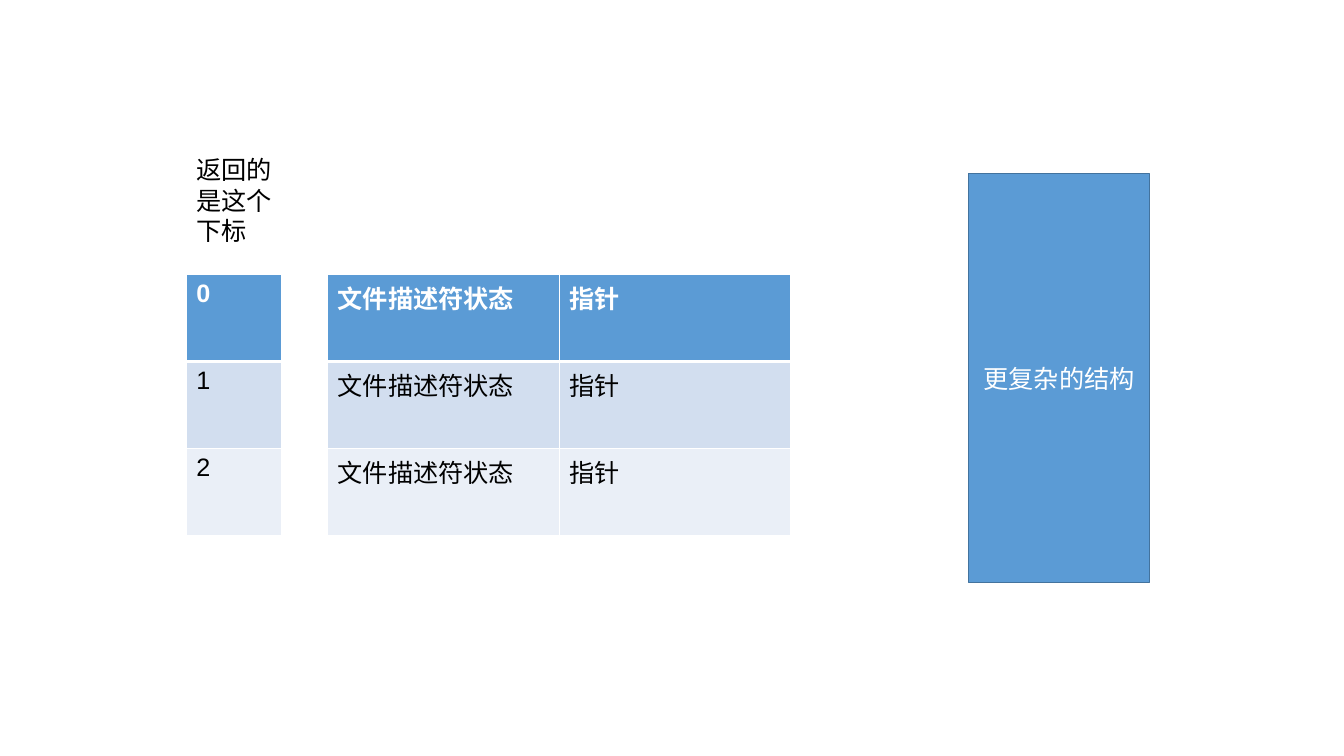
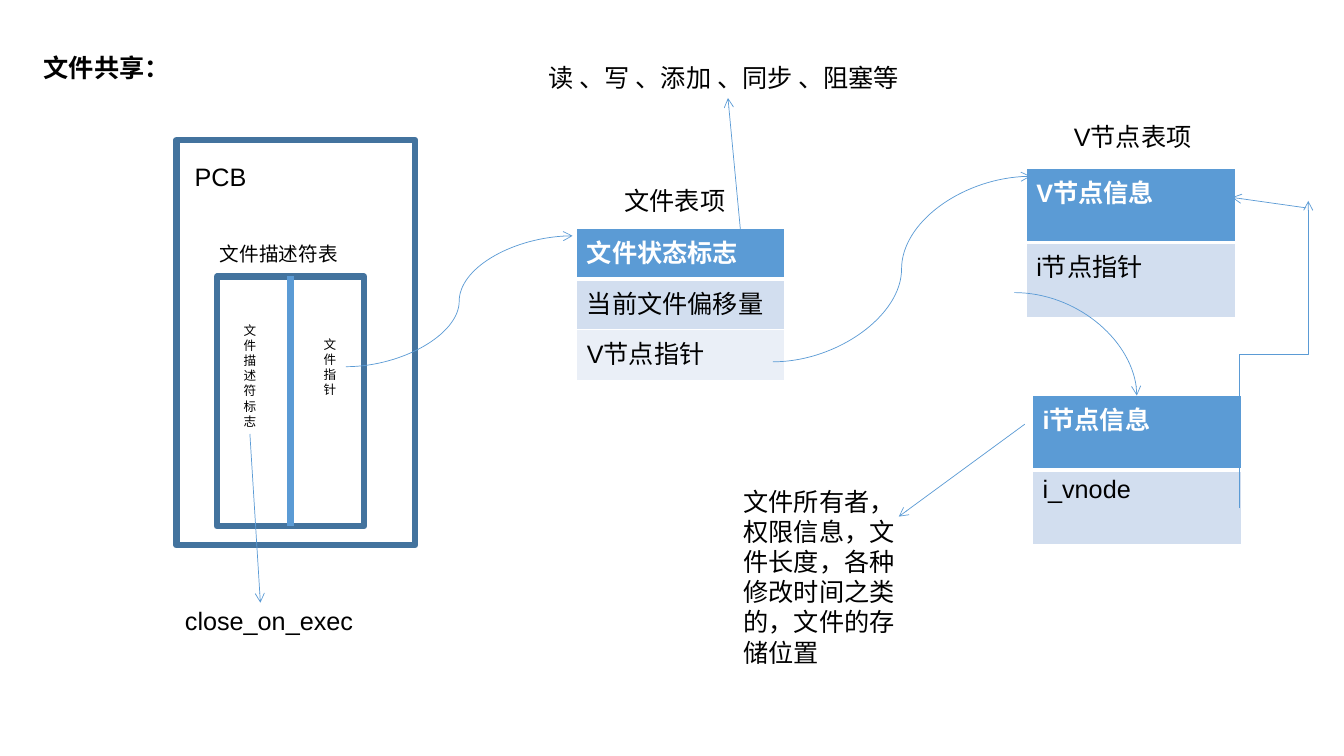
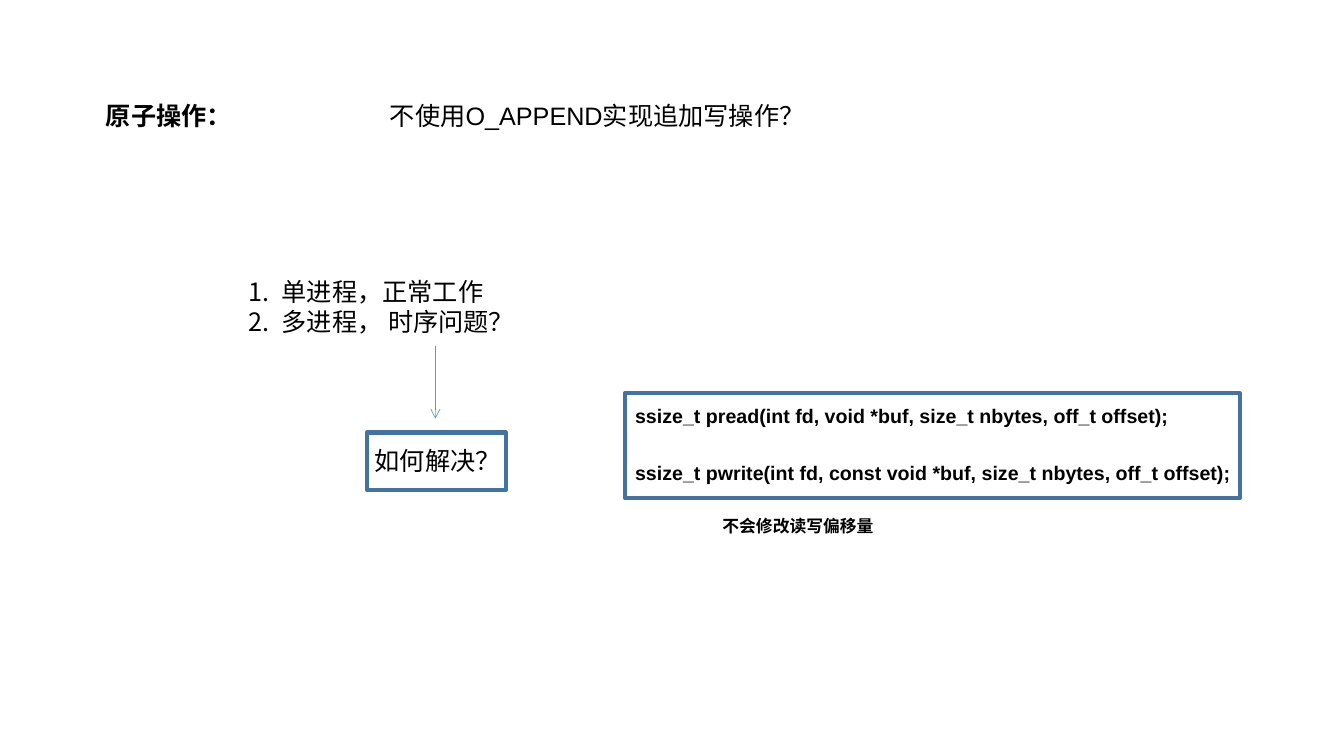
from lxml.etree import SubElement
from pptx import Presentation
from pptx.dml.color import RGBColor
from pptx.enum.shapes import MSO_CONNECTOR as LINK, MSO_SHAPE as SHAPE
from pptx.enum.text import MSO_ANCHOR as ANCHOR, MSO_AUTO_SIZE as FIT, PP_ALIGN as ALIGN
from pptx.oxml.ns import qn
from pptx.util import Pt

WHITE = RGBColor(0xFF, 0xFF, 0xFF)
BLACK = RGBColor(0, 0, 0)
BLUE = RGBColor(0x5B, 0x9B, 0xD5)
DARK_BLUE = RGBColor(0x43, 0x73, 0x9E)
BANDS = [RGBColor(0xD2, 0xDE, 0xEF), RGBColor(0xEA, 0xEF, 0xF7)]
FONT = "Arial"

# Content; boxes are (left, top, width, height) in points
# Slide 1: descriptor table
ENTRIES = [["文件描述符状态", "指针"]] * 3
INDEXES = [["0"], ["1"], ["2"]]
INDEX_NOTE = ("返回的是这个下标", (133, 107, 71.5, 73))
STRUCTURE = ("更复杂的结构", (692, 124, 129, 292))

# Slide 2: file sharing
SHARING_TITLE = ("文件共享：", (24, 34, 174, 29))
PROCESS_BOX = (126, 100, 170.5, 289.5)
DESCRIPTOR_BOX = (155, 197.5, 105, 178.5)
SHARING_LABELS = [
    ("PCB", (132, 112, 55, 51), 18),
    ("文件描述符表", (150, 169, 124.5, 24.5), 14),
    ("文件描述符标志", (167, 227, 23, 83.5), 9),
    ("文件指针", (224, 237, 23, 51), 9),
    ("文件表项", (439, 129, 93, 29), 18),
    ("close_on_exec", (125, 429, 240, 29), 18),
    ("读 、写 、添加 、同步 、阻塞等", (385, 41, 268.5, 29), 18),
    ("V节点表项", (760, 83, 159, 29), 18),
    ("文件所有者，权限信息，文件长度，各种修改时间之类的，文件的存储位置",
     (524, 343.5, 127.5, 138), 18),
]
SHARING_TABLES = [  # rows, left, top, column width, row height
    ([["文件状态标志"], ["当前文件偏移量"], ["V节点指针"]], 412, 163, 148.5, 36.2),
    ([["V节点信息"], ["i节点指针"]], 733, 120, 149.5, 53.3),
    ([["i节点信息"], ["i_vnode"]], 737.5, 282.5, 149.5, 53.3),
]
SHARING_ARROWS = [  # kind, start, end
    ("curve", (247, 262), (409, 168.5)),
    ("straight", (178.5, 310), (186, 430.5)),
    ("straight", (530, 176), (520, 70)),
    ("curve", (552, 258.5), (736, 126)),
    ("quarter", (724.5, 209), (812, 282.5)),
    ("rising bend", (885, 363), (934.5, 143.5)),
    ("straight", (933, 148.5), (880, 141)),
    ("straight", (732, 303), (642, 369)),
]

# Slide 3: atomic operations
ATOMIC_TITLE = ("原子操作：", (68.5, 68, 174, 29))
QUESTION = ("不使用O_APPEND实现追加写操作？", (271.5, 68, 488, 116))
CASES = (["单进程，正常工作", "多进程， 时序问题？"], (170, 193.5, 224, 73))
SOLUTION = ("如何解决？", (260.5, 314.5, 334, 29))
SOLUTION_FRAME = (262, 309, 99.5, 41)
CALLS = ["ssize_t pread(int fd, void *buf, size_t nbytes, off_t offset);",
         "ssize_t pwrite(int fd, const void *buf, size_t nbytes, off_t offset);"]
CALLS_FRAME = (446.5, 281, 439, 75)
CALL_TOP, CALL_STEP = 285, 40.5
OFFSET_NOTE = ("不会修改读写偏移量", (509, 365, 377, 21.5))


def points(*values):
    return [Pt(value) for value in values]


def write(frame, text, size=18, color=BLACK, bold=False, align=ALIGN.LEFT, anchor=ANCHOR.TOP):
    """Fill a text frame or table cell; a list gives one paragraph per item."""
    frame.vertical_anchor = anchor
    body = getattr(frame, "text_frame", frame)
    body.word_wrap = True
    body.text = "\n".join(text) if isinstance(text, list) else text
    for paragraph in body.paragraphs:
        paragraph.alignment = align
        paragraph.space_before = Pt(0)
        for run in paragraph.runs:
            font = run.font
            font.name, font.size, font.bold = FONT, Pt(size), bold
            font.color.rgb = color


def label(slide, text, box, **style):
    write(slide.shapes.add_textbox(*points(*box)).text_frame, text, **style)


def fill_placeholder(holder, text, box, **style):
    holder.left, holder.top, holder.width, holder.height = points(*box)
    holder.text_frame.auto_size = FIT.NONE
    write(holder.text_frame, text, **style)


def rectangle(slide, box, weight, fill=None):
    rect = slide.shapes.add_shape(SHAPE.RECTANGLE, *points(*box))
    rect.shadow.inherit = False
    if fill is None:
        rect.fill.background()
    else:
        rect.fill.solid()
        rect.fill.fore_color.rgb = fill
    rect.line.color.rgb, rect.line.width = DARK_BLUE, Pt(weight)
    return rect


def cell_borders(cell, bottom):
    properties = cell._tc.get_or_add_tcPr()
    for place, (side, weight) in enumerate([("L", 1), ("R", 1), ("T", 1), ("B", bottom)]):
        border = properties.makeelement(qn("a:ln" + side), {"w": str(Pt(weight))})
        paint = SubElement(border, qn("a:solidFill"))
        SubElement(paint, qn("a:srgbClr"), val=str(WHITE))
        properties.insert(place, border)


def grid(slide, rows, left, top, column_width, row_height):
    columns = len(rows[0])
    table = slide.shapes.add_table(len(rows), columns, *points(
        left, top, column_width * columns, row_height * len(rows))).table
    for column in table.columns:
        column.width = Pt(column_width)
    for r, row in enumerate(rows):
        table.rows[r].height = Pt(row_height)
        header = r == 0
        for c, text in enumerate(row):
            cell = table.cell(r, c)
            cell.fill.solid()
            cell.fill.fore_color.rgb = BLUE if header else BANDS[(r - 1) % 2]
            write(cell, text, bold=header, color=WHITE if header else BLACK)
            cell_borders(cell, 3 if header else 1)


def link(slide, kind, start, end, weight=0.5, arrow=True):
    (x1, y1), (x2, y2) = start, end
    rising = kind == "rising bend"
    if rising:  # a quarter turn swaps width and height about the centre
        x, y = (x1 + x2) / 2, (y1 + y2) / 2
        across, up = (x2 - x1) / 2, (y1 - y2) / 2
        x1, y1, x2, y2 = x - up, y - across, x + up, y + across
    form = {"straight": LINK.STRAIGHT, "rising bend": LINK.ELBOW}.get(kind, LINK.CURVE)
    line = slide.shapes.add_connector(form, *points(x1, y1, x2, y2))
    line.line.color.rgb, line.line.width = BLUE, Pt(weight)
    properties = line._element.spPr
    if rising:
        properties.find(qn("a:xfrm")).set("rot", "16200000")
    if kind == "quarter":
        properties.find(qn("a:prstGeom")).set("prst", "curvedConnector2")
    if arrow:
        SubElement(properties.find(qn("a:ln")), qn("a:tailEnd"), type="arrow")
    SubElement(properties, qn("a:effectLst"))


deck = Presentation()
deck.slide_width, deck.slide_height = points(960, 540)
LIST_LAYOUT, TITLE_LAYOUT, BLANK_LAYOUT = [deck.slide_layouts[i] for i in (1, 5, 6)]

# Slide 1
table_slide = deck.slides.add_slide(BLANK_LAYOUT)
grid(table_slide, ENTRIES, 234, 196, 165.5, 62.2)
grid(table_slide, INDEXES, 133, 196, 68.5, 62.2)
label(table_slide, *INDEX_NOTE)
structure_text, structure_box = STRUCTURE
structure = rectangle(table_slide, structure_box, 1, fill=BLUE)
write(structure.text_frame, structure_text, color=WHITE, align=ALIGN.CENTER, anchor=ANCHOR.MIDDLE)

# Slide 2
sharing = deck.slides.add_slide(TITLE_LAYOUT)
fill_placeholder(sharing.shapes.title, *SHARING_TITLE, bold=True)
for box in (PROCESS_BOX, DESCRIPTOR_BOX):
    rectangle(sharing, box, 4.5, fill=WHITE)
left, top, width, height = DESCRIPTOR_BOX
middle = left + width / 2
link(sharing, "straight", (middle, top), (middle, top + height), weight=4.5, arrow=False)
for text, box, size in SHARING_LABELS:
    label(sharing, text, box, size=size)
for table in SHARING_TABLES:
    grid(sharing, *table)
for arrow in SHARING_ARROWS:
    link(sharing, *arrow)

# Slide 3
atomic = deck.slides.add_slide(LIST_LAYOUT)
fill_placeholder(atomic.shapes.title, *ATOMIC_TITLE, bold=True)
cases = atomic.placeholders[1]
fill_placeholder(cases, *CASES, align=ALIGN.JUSTIFY)
for paragraph in cases.text_frame.paragraphs:
    numbering = paragraph._p.get_or_add_pPr()
    numbering.set("marL", str(Pt(24)))
    numbering.set("indent", str(-Pt(24)))
    SubElement(numbering, qn("a:buAutoNum"), type="arabicPeriod")
label(atomic, *QUESTION)
label(atomic, *SOLUTION)
link(atomic, "straight", (311, 247), (311, 299))
for i, call in enumerate(CALLS):
    label(atomic, call, (446.5, CALL_TOP + i * CALL_STEP, 475, 24.5), size=14, bold=True)
for frame in (SOLUTION_FRAME, CALLS_FRAME):
    rectangle(atomic, frame, 3)
label(atomic, *OFFSET_NOTE, size=12, bold=True)

deck.save("out.pptx")
